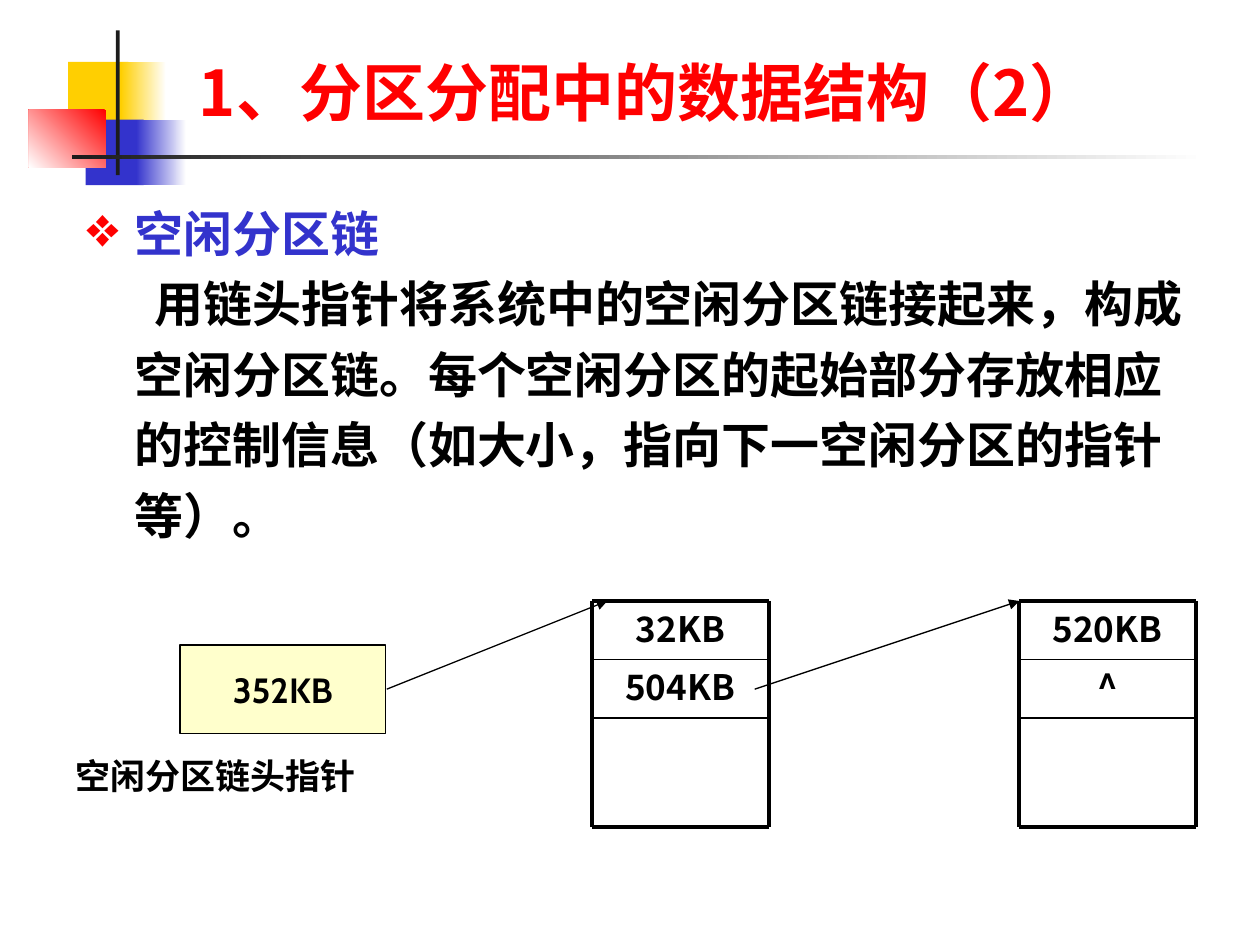
import pptx
import pptx.dml.color
import pptx.enum.shapes
import pptx.enum.text
import pptx.oxml.ns
import pptx.util
from lxml import etree
from pptx.util import Inches

COLORS = {
    "red": "FF0000", "blue": "3333CC", "yellow": "FFCF01", "cream": "FFFFCC",
    "dark": "1C1C1C", "black": "000000", "white": "FFFFFF",
}
SANS = "Noto Sans CJK SC"
LATIN = "Cabin"
CENTER = pptx.enum.text.PP_ALIGN.CENTER
ANCHOR = pptx.enum.text.MSO_ANCHOR


def rgb(name):
    """Return the named colour."""
    return pptx.dml.color.RGBColor.from_string(COLORS[name])


def add_xml(parent, tag, **attributes):
    """Append a drawing element to a parent."""
    return etree.SubElement(parent, pptx.oxml.ns.qn(tag), attributes)


def add_block(page, place, fill, fade=None, angle=180):
    """Add an unlined rectangle, plain or fading from fill to fade."""
    block = page.shapes.add_shape(
        pptx.enum.shapes.MSO_SHAPE.RECTANGLE, *map(Inches, place))
    block.shadow.inherit = False
    block.line.fill.background()
    if fade:
        block.fill.gradient()
        block.fill.gradient_angle = 360 - angle
        for stop, name, position in zip(block.fill.gradient_stops, (fill, fade), (0, 1)):
            stop.color.rgb = rgb(name)
            stop.position = position
    else:
        block.fill.solid()
        block.fill.fore_color.rgb = rgb(fill)
    return block


def style_paragraph(para, text, size, color="black", font=SANS, align=None, before=0):
    """Fill a paragraph and set its bold font."""
    para.text = text
    para.alignment = align
    para.space_before = pptx.util.Pt(before)
    para.font.size = pptx.util.Pt(size)
    para.font.bold = True
    para.font.color.rgb = rgb(color)
    para.font.name = font
    add_xml(para.font._element, "a:ea", typeface=SANS)


def add_text(page, place, text, size, anchor=ANCHOR.TOP, **style):
    """Add a wrapping text box with one paragraph and return its frame."""
    frame = page.shapes.add_textbox(*map(Inches, place)).text_frame
    frame.word_wrap = True
    frame.vertical_anchor = anchor
    style_paragraph(frame.paragraphs[0], text, size, **style)
    return frame


def indent_paragraph(para, first):
    """Set the left margin, first-line indent and line spacing."""
    para.line_spacing = 1.2
    properties = para._p.get_or_add_pPr()
    properties.set("marL", str(Inches(0.38)))
    properties.set("indent", str(Inches(first)))


def add_bullet(para, char, color, percent):
    """Give a paragraph a coloured bullet."""
    properties = para._p.get_or_add_pPr()
    bullet_color = add_xml(properties, "a:buClr")
    add_xml(bullet_color, "a:srgbClr", val=COLORS[color])
    size = add_xml(properties, "a:buSzPct", val=str(percent * 1000))
    mark = add_xml(properties, "a:buChar", char=char)
    for element in (bullet_color, size, mark):
        para.font._element.getparent().find(pptx.oxml.ns.qn("a:defRPr")).addprevious(element)


def add_line(page, start, end, width, arrow=False):
    """Add a black straight line, with an arrowhead at its end if wanted."""
    line = page.shapes.add_connector(
        pptx.enum.shapes.MSO_CONNECTOR.STRAIGHT, *map(Inches, start + end))
    line.line.color.rgb = rgb("black")
    line.line.width = pptx.util.Pt(width)
    if arrow:
        add_xml(line.line._get_or_add_ln(), "a:tailEnd", type="triangle")
    add_xml(line._element.spPr, "a:effectLst")


def add_partition(page, left, labels):
    """Add a memory partition with its size and pointer fields."""
    top, row, width, bottom = 4.77, 0.465, 1.4, 6.56
    right = left + width
    for index, label in enumerate(labels):
        add_text(page, (left, top + index * row, width, 0.46), label, 20,
                 align=CENTER, before=5)
    for y, weight in ((top, 2.25), (top + row, 1), (top + 2 * row, 1), (bottom, 2.25)):
        add_line(page, (left, y), (right, y), weight)
    for x in (left, right):
        add_line(page, (x, top), (x, bottom), 2.25)


def add_ornament(page):
    """Add the coloured squares and the crossing rules."""
    add_block(page, (0.54, 0.49, 0.48, 0.52), "yellow")
    add_block(page, (0.96, 0.49, 0.36, 0.52), "white", "yellow")
    add_block(page, (0.68, 0.95, 0.46, 0.52), "blue")
    add_block(page, (1.08, 0.95, 0.4, 0.52), "white", "blue")
    add_block(page, (0.23, 0.87, 0.61, 0.46), "red", "white", 135)
    add_block(page, (0.92, 0.24, 0.03, 1.15), "dark")
    add_block(page, (0.57, 1.23, 9, 0.03), "white", "dark")


def add_body(page):
    """Add the bulleted heading and its explanation."""
    frame = add_text(page, (0.59, 1.47, 8.9, 3.15), "空闲分区链", 28, color="blue")
    heading = frame.paragraphs[0]
    indent_paragraph(heading, -0.38)
    add_bullet(heading, "❖", "red", 115)
    explanation = frame.add_paragraph()
    style_paragraph(
        explanation,
        "用链头指针将系统中的空闲分区链接起来，构成空闲分区链。"
        "每个空闲分区的起始部分存放相应的控制信息"
        "（如大小，指向下一空闲分区的指针等）。", 28)
    indent_paragraph(explanation, 0.16)


def add_head_pointer(page):
    """Add the head pointer box and its caption."""
    box = add_block(page, (1.43, 5.12, 1.63, 0.7), "cream")
    box.line.color.rgb = rgb("black")
    box.line.width = pptx.util.Pt(0.75)
    box.text_frame.word_wrap = False
    box.text_frame.vertical_anchor = ANCHOR.MIDDLE
    style_paragraph(box.text_frame.paragraphs[0], "352KB", 20, font=LATIN, align=CENTER)
    add_text(page, (0.5, 5.94, 2.8, 0.44), "空闲分区链头指针", 20, font=LATIN, before=12.5)


def main():
    """Build the slide and save it."""
    deck = pptx.Presentation()
    deck.slide_width, deck.slide_height = Inches(10), Inches(7.5)
    page = deck.slides.add_slide(deck.slide_layouts[6])
    add_ornament(page)
    add_text(page, (1.48, 0.48, 8.52, 0.59), "1、分区分配中的数据结构（2）", 36,
             anchor=ANCHOR.BOTTOM, color="red")
    add_body(page)
    add_head_pointer(page)
    add_partition(page, 4.7, ("32KB", "504KB"))
    add_partition(page, 8.09, ("520KB", "^"))
    add_line(page, (3.07, 5.47), (4.82, 4.77), 0.75, arrow=True)
    add_line(page, (5.99, 5.47), (8.09, 4.77), 0.75, arrow=True)
    deck.save("out.pptx")


if __name__ == "__main__":
    main()
